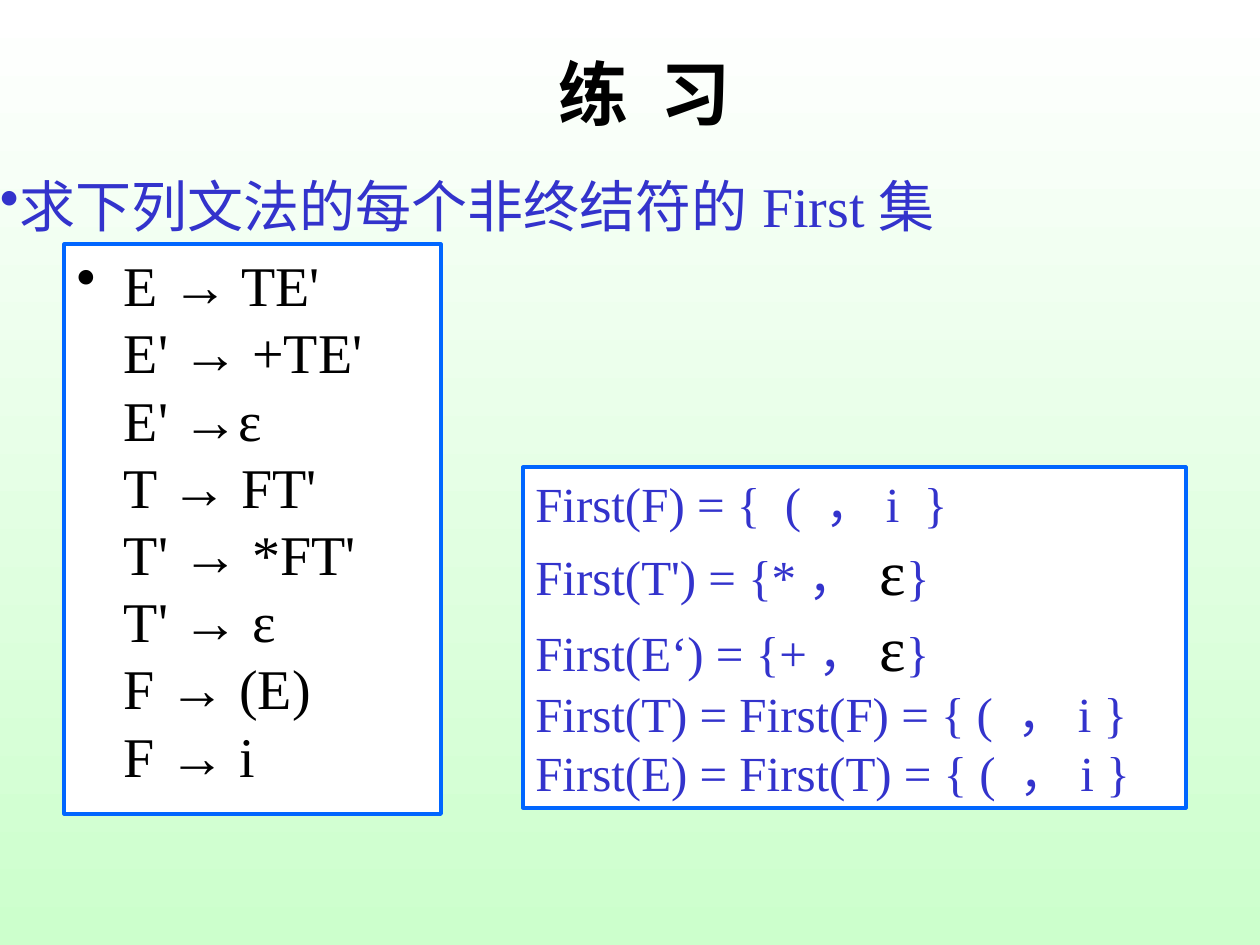
import pptx
import pptx.dml.color
import pptx.enum.dml
import pptx.enum.shapes
import pptx.enum.text
import pptx.oxml.ns
import pptx.util
import lxml.etree

Pt = pptx.util.Pt
SERIF, SANS, CHINESE = "Times New Roman", "Arial", "Noto Sans CJK SC"
BLACK, BLUE = "000000", "3333CC"


def rgb(value):
    return pptx.dml.color.RGBColor.from_string(value)


def add_run(paragraph, text, size, color, latin=SERIF, asian=CHINESE, bold=False):
    run = paragraph.add_run()
    run.text = text
    run.font.size = Pt(size)
    run.font.bold = bold
    run.font.color.rgb = rgb(color)
    run.font.name = latin
    east_asian = lxml.etree.SubElement(run.font._element, pptx.oxml.ns.qn("a:ea"))
    east_asian.set("typeface", asian)


presentation = pptx.Presentation()
presentation.slide_width, presentation.slide_height = Pt(720), Pt(540)
slide = presentation.slides.add_slide(presentation.slide_layouts[6])

background = slide.background.fill
background.gradient()
background.gradient_angle = 270
for stop, color in zip(background.gradient_stops, ("FFFFFF", "CCFFCC")):
    stop.color.rgb = rgb(color)

# White panels with a blue outline: grammar, then answers
panels = []
for bounds in ((36.7, 139.7, 215.3, 325.4), (298.8, 267.1, 378.7, 194.4)):
    panel = slide.shapes.add_shape(
        pptx.enum.shapes.MSO_SHAPE.RECTANGLE, *map(Pt, bounds))
    panel.shadow.inherit = False
    panel.fill.solid()
    panel.fill.fore_color.rgb = rgb("FFFFFF")
    panel.line.color.rgb = rgb("0066FF")
    panel.line.width = Pt(2.25)
    panel.text_frame.word_wrap = True
    panel.text_frame.vertical_anchor = pptx.enum.text.MSO_ANCHOR.TOP
    panels.append(panel)
grammar, answers = panels

title = slide.shapes.add_textbox(Pt(66.2), Pt(23), Pt(595.4), Pt(59.8))
title.text_frame.word_wrap = True
title.text_frame.vertical_anchor = pptx.enum.text.MSO_ANCHOR.MIDDLE
title_paragraph = title.text_frame.paragraphs[0]
title_paragraph.alignment = pptx.enum.text.PP_ALIGN.CENTER
add_run(title_paragraph, " 练  习", 40, BLACK, CHINESE, bold=True)

task = slide.shapes.add_textbox(Pt(-7.2), Pt(94.3), Pt(555.1), Pt(46.1))
task.text_frame.word_wrap = False
task_paragraph = task.text_frame.paragraphs[0]

# Bullets for the task and the grammar
for paragraph, color, indent in ((task_paragraph, BLUE, 0),
                                 (grammar.text_frame.paragraphs[0], BLACK, 27)):
    paragraph.alignment = pptx.enum.text.PP_ALIGN.LEFT
    properties = paragraph._p.get_or_add_pPr()
    properties.set("marL", str(Pt(indent)))
    properties.set("indent", str(Pt(-indent)))
    bullet_color = lxml.etree.SubElement(properties, pptx.oxml.ns.qn("a:buClr"))
    lxml.etree.SubElement(
        bullet_color, pptx.oxml.ns.qn("a:srgbClr")).set("val", color)
    lxml.etree.SubElement(properties, pptx.oxml.ns.qn("a:buChar")).set("char", "•")

add_run(task_paragraph, "求下列文法的每个非终结符的First集", 32, BLUE)

rules = ("E → TE'", "E' → +TE'", "E' →ε", "T → FT'",
         "T' → *FT'", "T' → ε", "F → (E)", "F → i")
grammar_paragraph = grammar.text_frame.paragraphs[0]
for number, rule in enumerate(rules):
    if number:
        grammar_paragraph.add_line_break()
    left, arrow, right = rule.partition("→")
    add_run(grammar_paragraph, left, 32, BLACK)
    add_run(grammar_paragraph, arrow, 32, BLACK, SANS, SANS, bold=True)
    add_run(grammar_paragraph, right, 32, BLACK)

first_sets = ("First(F) = {  ( ，i  }", "First(T') = {*， ε}", "First(E‘) = {+，ε}",
              "First(T) = First(F) = { ( ，i }", "First(E) = First(T) = { ( ，i }")
for number, first_set in enumerate(first_sets):
    paragraph = (answers.text_frame.add_paragraph() if number
                 else answers.text_frame.paragraphs[0])
    paragraph.alignment = pptx.enum.text.PP_ALIGN.LEFT
    before, epsilon, after = first_set.partition("ε")
    head, comma, tail = before.partition("，")
    add_run(paragraph, head, 28, BLUE)
    add_run(paragraph, comma, 28, BLUE, CHINESE)
    if tail:
        add_run(paragraph, tail, 28, BLUE)
    if epsilon:
        add_run(paragraph, epsilon, 36, BLACK)
        add_run(paragraph, after, 28, BLUE)

presentation.save("out.pptx")
